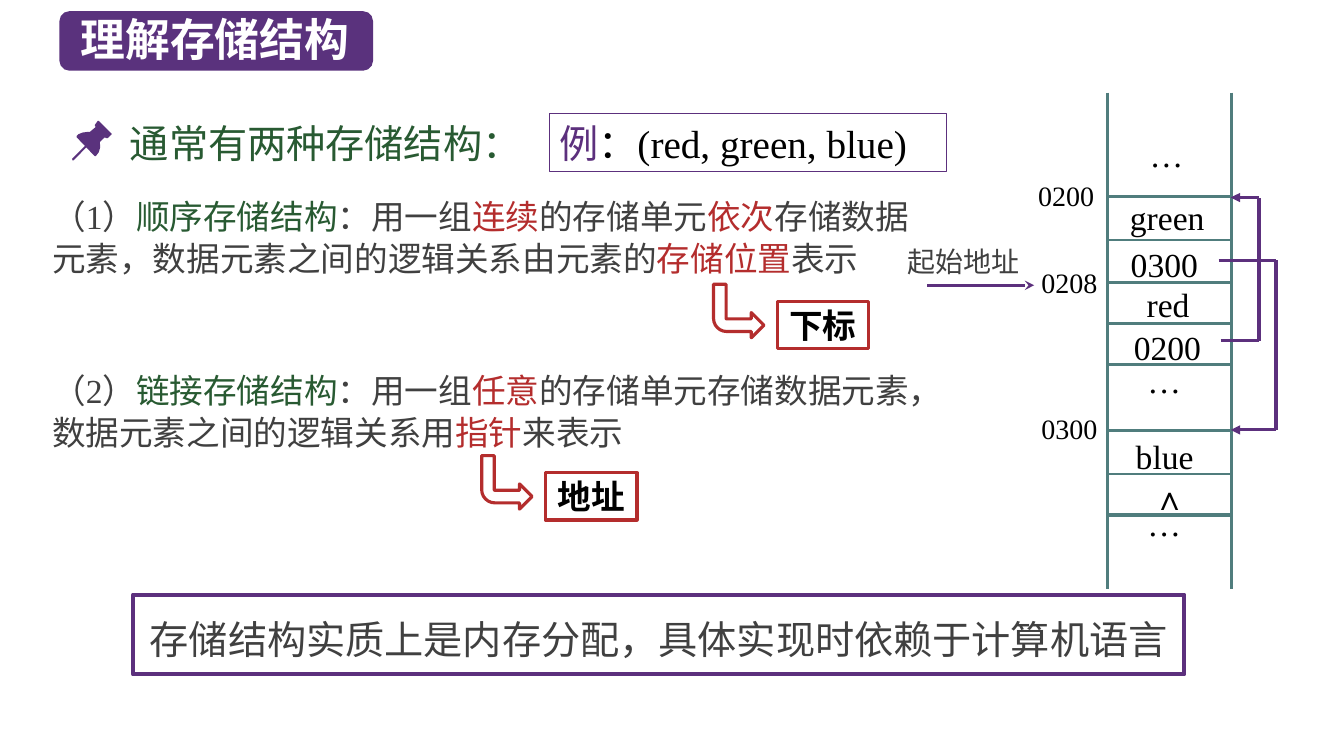
from dataclasses import dataclass
from itertools import pairwise

from lxml.etree import SubElement
from pptx import Presentation
from pptx.dml.color import RGBColor
from pptx.enum.shapes import MSO_CONNECTOR, MSO_SHAPE
from pptx.enum.text import MSO_ANCHOR, PP_ALIGN
from pptx.oxml.ns import qn
from pptx.util import Pt


@dataclass(frozen=True)
class Theme:
    purple: RGBColor = RGBColor.from_string("5A327D")
    violet: RGBColor = RGBColor.from_string("5C307D")
    green: RGBColor = RGBColor.from_string("285A32")
    red: RGBColor = RGBColor.from_string("B42D2D")
    teal: RGBColor = RGBColor.from_string("507D7D")
    gray: RGBColor = RGBColor.from_string("404040")
    black: RGBColor = RGBColor.from_string("000000")
    white: RGBColor = RGBColor.from_string("FFFFFF")
    chinese: str = "Noto Sans CJK SC"
    latin: str = "Times New Roman"
    title: int = 32
    heading: int = 28
    body: int = 24
    label: int = 20


theme = Theme()
deck = Presentation()
deck.slide_width, deck.slide_height = Pt(960), Pt(540)
page = deck.slides.add_slide(deck.slide_layouts[6])


def add_text(text, place, size=theme.body, color=theme.black, font=theme.latin,
             bold=False, italic=False, align=PP_ALIGN.LEFT, anchor=MSO_ANCHOR.TOP,
             spacing=None, after=0, margins=(7.2, 3.6), outline=None, weight=0):
    """Write a string, or (string, colour) spans, in a text box or an outlined frame."""
    place = [Pt(length) for length in place]
    if outline is None:
        box = page.shapes.add_textbox(*place)
    else:
        box = page.shapes.add_shape(MSO_SHAPE.RECTANGLE, *place)
        box.shadow.inherit = False
        box.fill.background()
        box.line.color.rgb = outline
        box.line.width = Pt(weight)
    frame = box.text_frame
    frame.word_wrap = True
    frame.vertical_anchor = anchor
    frame.margin_left = frame.margin_right = Pt(margins[0])
    frame.margin_top = frame.margin_bottom = Pt(margins[1])
    para = frame.paragraphs[0]
    para.alignment = align
    para.space_after = Pt(after)
    if spacing:
        para.line_spacing = spacing
    for words, tint in [(text, color)] if isinstance(text, str) else text:
        span = para.add_run()
        span.text = words
        span.font.size = Pt(size)
        span.font.name = font
        span.font.bold = bold
        span.font.italic = italic
        span.font.color.rgb = tint
        SubElement(span.font._element, qn("a:ea"), typeface=theme.chinese)


def add_line(start, end, color, weight=2.25, arrow=None):
    line = page.shapes.add_connector(
        MSO_CONNECTOR.STRAIGHT, *[Pt(length) for length in (*start, *end)])
    line.line.color.rgb = color
    line.line.width = Pt(weight)
    if arrow:
        SubElement(line.line._get_or_add_ln(), qn("a:tailEnd"), type=arrow)
    SubElement(line._element.spPr, qn("a:effectLst"))


# Title and heading
title_bar = page.shapes.add_shape(
    MSO_SHAPE.ROUNDED_RECTANGLE, Pt(42.5), Pt(8), Pt(224), Pt(42.5))
pin_head = [
    (79.2, 95), (70.6, 86.4), (69.8, 86.4), (67.7, 89.3), (67.7, 90), (68.4, 90.7),
    (64.1, 94.3), (62, 94.3), (59, 94.7), (56.2, 95.8), (54.7, 97.2), (54.7, 98),
    (67.7, 111.6), (68.4, 111.6), (70.6, 108.7), (71.6, 105), (71.3, 101.5),
    (74.9, 98), (75.6, 98.6), (77, 98.6), (79.9, 95.8),
]
pin_needle = [(52.6, 114.5), (51.8, 114.5), (51.5, 113.4), (61.2, 103.7),
              (62, 103.7), (62.3, 104.6)]
solids = [title_bar]
for outline in (pin_head, pin_needle):
    corners = [(Pt(x), Pt(y)) for x, y in outline]
    builder = page.shapes.build_freeform(*corners[0])
    builder.add_line_segments(corners[1:], close=True)
    solids.append(builder.convert_to_shape())
for solid in solids:
    solid.shadow.inherit = False
    solid.fill.solid()
    solid.fill.fore_color.rgb = theme.purple
    solid.line.fill.background()

add_text("理解存储结构", (50.4, 5, 217.4, 46), theme.title, theme.white,
         theme.chinese, bold=True)
add_text("通常有两种存储结构：", (85.7, 80.6, 331, 48), theme.heading, theme.green,
         theme.chinese, spacing=Pt(35), after=6)
add_text([("例", theme.violet), ("：(red, green, blue)", theme.black)],
         (392.4, 81.4, 283.7, 41), theme.heading, outline=theme.violet, weight=0.75)

# The two storage structures
sequential = [
    ("（1）", theme.gray), ("顺序存储结构", theme.green), ("：用一组", theme.gray),
    ("连续", theme.red), ("的存储单元", theme.gray), ("依次", theme.red),
    ("存储数据元素，数据元素之间的逻辑关系由元素的", theme.gray),
    ("存储位置", theme.red), ("表示", theme.gray),
]
linked = [
    ("（2）", theme.gray), ("链接存储结构", theme.green), ("：用一组", theme.gray),
    ("任意", theme.red), ("的存储单元存储数据元素，数据元素之间的逻辑关系用", theme.gray),
    ("指针", theme.red), ("来表示", theme.gray),
]
for spans, top, means, left, means_top in (
        (sequential, 135.4, "下标", 555.1, 215.3), (linked, 259.8, "地址", 389.5, 337.7)):
    add_text(spans, (30.2, top, 628.6, 66), spacing=Pt(30))
    add_text(means, (left, means_top, 65.5, 33.8), bold=True, align=PP_ALIGN.CENTER,
             anchor=MSO_ANCHOR.MIDDLE, spacing=Pt(28.8), margins=(0, 3.6),
             outline=theme.red, weight=2.25)
    arrow = page.shapes.add_shape(
        MSO_SHAPE.BENT_ARROW, Pt(left - 45.4), Pt(means_top - 12.2), Pt(36), Pt(38.2))
    arrow.adjustments[3] = 0.26
    arrow._element.spPr.xfrm.set("flipV", "1")
    arrow.shadow.inherit = False
    arrow.fill.background()
    arrow.line.color.rgb = theme.red
    arrow.line.width = Pt(2.25)

# Memory column
for x in (791.3, 879.8):
    add_line((x, 66.2), (x, 420.5), theme.teal)
for y, weight in ((140.4, 2.25), (171.4, 1.5), (201.6, 2.25), (231.1, 1.5),
                  (260.6, 2.25), (307.4, 2.25), (338.4, 1.5), (367.9, 2.25)):
    add_line((792, y), (879.8, y), theme.teal, weight)
for text, left, top in (
        ("green", 800, 134), ("0300", 800.6, 167.8), ("red", 812, 196.6),
        ("0200", 802.8, 226.8), ("blue", 804.2, 304.6), ("∧", 816.5, 334)):
    add_text(text, (left, top, 78, 39.6), spacing=1.1)
for left, top in ((815.8, 89.3), (814.3, 250.6), (814.3, 352.8)):
    add_text("…", (left, top, 40.3, 39.6), italic=True, spacing=1.1)
for address, left, top in (("0200", 741.6, 132.5), ("0208", 743.8, 194.4),
                           ("0300", 743.8, 298.8)):
    add_text(address, (left, top, 43.2, 16.6), theme.label, align=PP_ALIGN.JUSTIFY,
             spacing=0.8, margins=(0, 0))

# Start address and pointers
add_text("起始地址", (640.8, 168.5, 94.3, 33.8), theme.label, theme.gray,
         theme.chinese, spacing=1.1)
add_line((662.4, 203.8), (738.7, 203.8), theme.violet, arrow="stealth")
for start_x, start_y, turn_x, end_y in ((871.9, 243.4, 899.3, 141.1),
                                        (870.5, 185.8, 911.5, 307.1)):
    bends = [(start_x, start_y), (turn_x, start_y), (turn_x, end_y), (879.1, end_y)]
    for (start, end), head in zip(pairwise(bends), (None, None, "triangle")):
        add_line(start, end, theme.violet, arrow=head)

add_text("存储结构实质上是内存分配，具体实现时依赖于计算机语言", (95, 424.8, 751, 56.9),
         theme.heading, theme.gray, theme.chinese, align=PP_ALIGN.CENTER,
         anchor=MSO_ANCHOR.MIDDLE, spacing=Pt(40), outline=theme.violet, weight=3)

deck.save("out.pptx")
